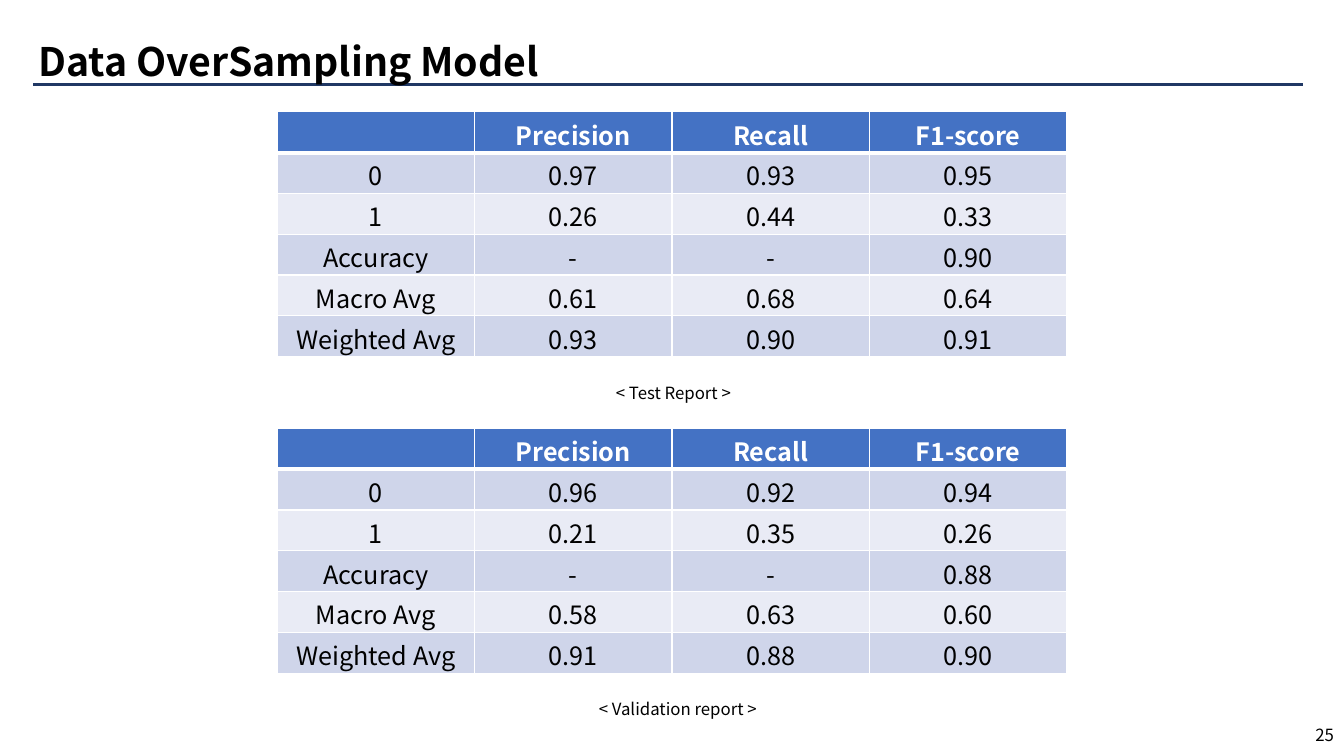
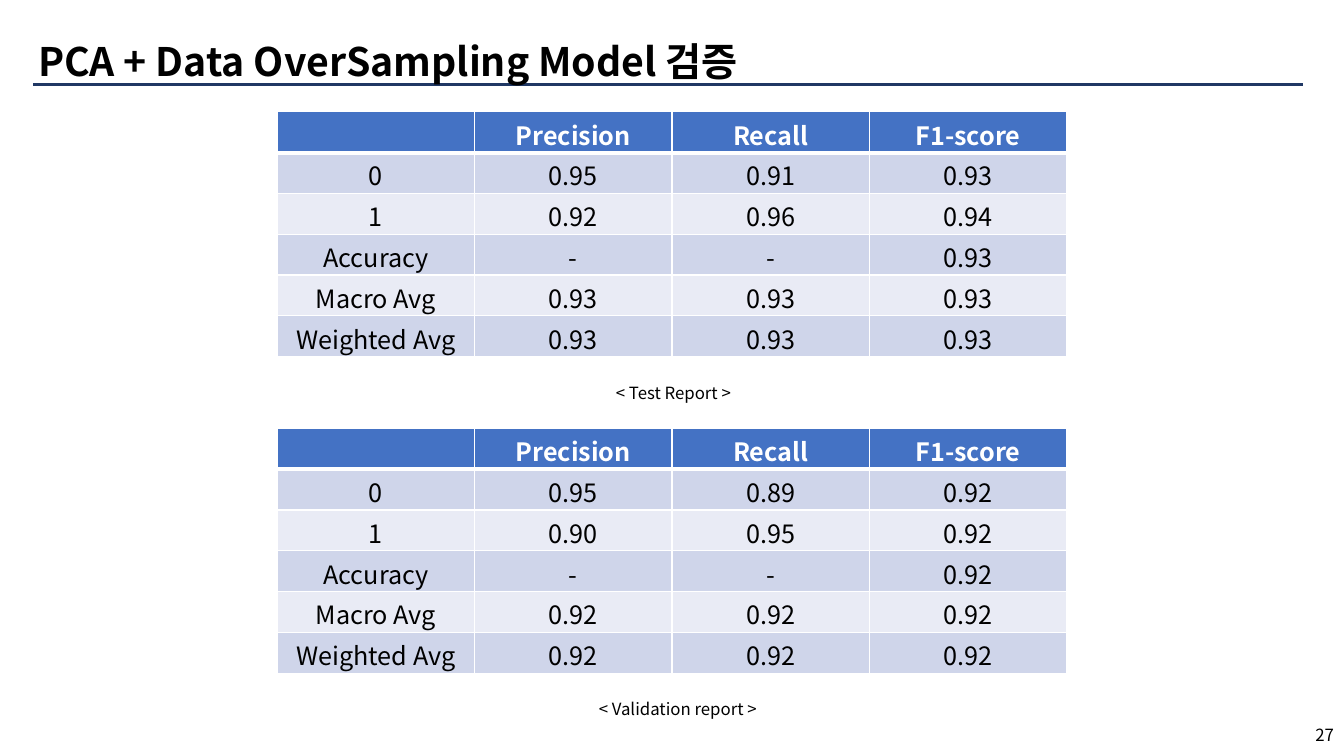
from pptx import Presentation
from pptx.dml.color import RGBColor as RGB
from pptx.enum.text import MSO_ANCHOR as Anchor, PP_ALIGN as Align
from pptx.oxml import parse_xml
from pptx.oxml.ns import nsdecls
from pptx.util import Inches, Pt

THEME = {
    "font": "Noto Sans CJK KR",
    "ink": RGB.from_string("000000"),
    "white": RGB.from_string("FFFFFF"),
    "rule": RGB.from_string("203864"),
    "header": RGB.from_string("4472C4"),
    "bands": [RGB.from_string("CFD5EA"), RGB.from_string("E9EBF5")],
    "title": Pt(28),
    "body": Pt(18),
    "small": Pt(12),
}

METRICS = ["", "Precision", "Recall", "F1-score"]
LABELS = ["0", "1", "Accuracy", "Macro Avg", "Weighted Avg"]
REPORTS = [
    {"top": 1.11, "caption": "< Test Report >", "caption_at": (6.01, 3.75)},
    {"top": 4.25, "caption": "< Validation report >", "caption_at": (5.84, 6.88)},
]
MODELS = [
    {
        "title": "Data OverSampling Model",
        "title_width": 6.72,
        "page": "25",
        "scores": [
            ["0.97 0.93 0.95", "0.26 0.44 0.33", "- - 0.90", "0.61 0.68 0.64", "0.93 0.90 0.91"],
            ["0.96 0.92 0.94", "0.21 0.35 0.26", "- - 0.88", "0.58 0.63 0.60", "0.91 0.88 0.90"],
        ],
    },
    {
        "title": "PCA + Data OverSampling Model 검증",
        "title_width": 7.58,
        "page": "27",
        "scores": [
            ["0.95 0.91 0.93", "0.92 0.96 0.94", "- - 0.93", "0.93 0.93 0.93", "0.93 0.93 0.93"],
            ["0.95 0.89 0.92", "0.90 0.95 0.92", "- - 0.92", "0.92 0.92 0.92", "0.92 0.92 0.92"],
        ],
    },
]


def write(frame, text, size, color=THEME["ink"], bold=False, align=Align.LEFT):
    paragraph = frame.paragraphs[0]
    paragraph.alignment = align
    if text:
        run = paragraph.add_run()
        run.text = text
        run.font.color.rgb = color
        style = {"name": THEME["font"], "size": size, "bold": bold}
        for attribute, value in style.items():
            setattr(run.font, attribute, value)


def add_label(slide, box, text, size, **style):
    frame = slide.shapes.add_textbox(*map(Inches, box)).text_frame
    frame.word_wrap = True
    frame.vertical_anchor = Anchor.MIDDLE
    write(frame, text, size, **style)


deck = Presentation()
deck.slide_width, deck.slide_height = Inches(13.33), Inches(7.5)

for model in MODELS:
    slide = deck.slides.add_slide(deck.slide_layouts[6])

    title_rule = slide.shapes.add_connector(1, Inches(0.33), Inches(0.84), Inches(12.92), Inches(0.84))
    title_rule.line.color.rgb = THEME["rule"]
    title_rule.line.width = Pt(2.25)
    title_rule._element.spPr.append(parse_xml(f"<a:effectLst {nsdecls('a')}/>"))

    add_label(slide, (10.33, 7.09, 3, 0.4), model["page"], THEME["small"], align=Align.RIGHT)
    add_label(slide, (0.28, 0.32, model["title_width"], 0.57), model["title"], THEME["title"], bold=True)

    for report, scores in zip(REPORTS, model["scores"]):
        add_label(slide, (*report["caption_at"], 3.89, 0.3), report["caption"], THEME["small"])

        rows = [METRICS] + [[label, *line.split()] for label, line in zip(LABELS, scores)]
        grid = slide.shapes.add_table(
            len(rows), len(METRICS), Inches(2.75), Inches(report["top"]), Inches(7.83), Inches(2.43)
        ).table
        for r, values in enumerate(rows):
            is_header = r == 0
            for c, value in enumerate(values):
                cell = grid.cell(r, c)
                widths = {"L": 1, "R": 1, "T": 3 if r == 1 else 1, "B": 3 if is_header else 1}
                for side, width in widths.items():
                    cell._tc.get_or_add_tcPr().append(parse_xml(
                        f'<a:ln{side} {nsdecls("a")} w="{Pt(width)}"><a:solidFill>'
                        f'<a:srgbClr val="{THEME["white"]}"/></a:solidFill></a:ln{side}>'
                    ))
                cell.fill.solid()
                cell.fill.fore_color.rgb = THEME["header"] if is_header else THEME["bands"][(r - 1) % 2]
                cell.margin_top, cell.margin_bottom = Inches(0.04), 0
                color = THEME["white"] if is_header else THEME["ink"]
                write(cell.text_frame, value, THEME["body"], color, is_header, Align.CENTER)

deck.save("out.pptx")
